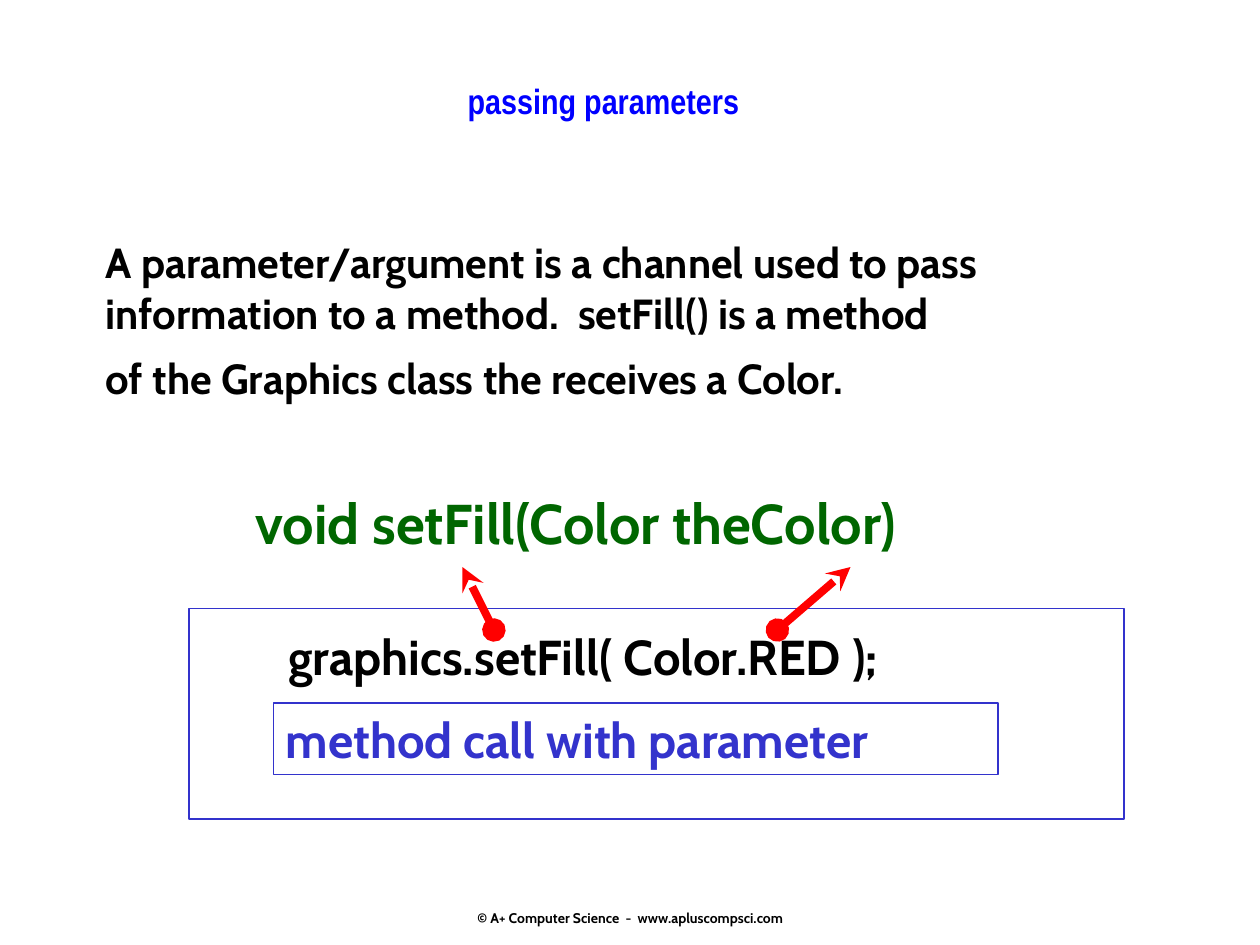
from lxml import etree
from pptx import Presentation
from pptx.dml.color import RGBColor
from pptx.enum.shapes import MSO_CONNECTOR, MSO_SHAPE
from pptx.enum.text import MSO_ANCHOR, PP_ALIGN
from pptx.oxml.ns import qn
from pptx.util import Inches, Pt

COLORS = {"title": "0000FF", "text": "000000", "signature": "006600",
          "frame": "3333CC", "arrow": "FF0000"}


class SlideBuilder:
    font = "Cabin"

    def __init__(self, page):
        self.page = page

    def color(self, name):
        return RGBColor.from_string(COLORS[name])

    def place(self, shape, left, top, width, height):
        shape.left, shape.top = Inches(left), Inches(top)
        shape.width, shape.height = Inches(width), Inches(height)

    def set_text(self, shape, paragraphs, size, color, font=None,
                 align=PP_ALIGN.LEFT, anchor=MSO_ANCHOR.TOP, gap=0):
        """Fill a shape; each paragraph is a list of lines."""
        frame = shape.text_frame
        frame.word_wrap = True
        frame.vertical_anchor = anchor
        for number, lines in enumerate(paragraphs):
            para = frame.add_paragraph() if number else frame.paragraphs[0]
            para.alignment = align
            para.space_before = Pt(gap if number else 0)
            for index, line in enumerate(lines):
                if index:
                    para.add_line_break()
                span = para.add_run()
                span.text = line
                span.font.name = font or self.font
                span.font.size = Pt(size)
                span.font.bold = True
                span.font.color.rgb = self.color(color)

    def title(self, text, *area):
        box = self.page.shapes.title
        self.place(box, *area)
        self.set_text(box, [[text]], 20, "title", "Arial Narrow", PP_ALIGN.CENTER)

    def text(self, paragraphs, area, size, color="text", **style):
        box = self.page.shapes.add_textbox(*map(Inches, area))
        self.set_text(box, paragraphs, size, color, **style)

    def outline(self, *area):
        box = self.page.shapes.add_shape(MSO_SHAPE.RECTANGLE, *map(Inches, area))
        box.shadow.inherit = False
        box.fill.background()
        box.line.color.rgb = self.color("frame")
        box.line.width = Pt(0.75)
        return box

    def arrow(self, *ends):
        arrow = self.page.shapes.add_connector(MSO_CONNECTOR.STRAIGHT, *map(Inches, ends))
        arrow.line.color.rgb = self.color("arrow")
        arrow.line.width = Pt(4.5)
        properties = arrow.element.spPr
        stroke = properties.find(qn("a:ln"))
        for tag, kind in (("a:headEnd", "oval"), ("a:tailEnd", "stealth")):
            etree.SubElement(stroke, qn(tag), type=kind)
        etree.SubElement(properties, qn("a:effectLst"))


def main():
    deck = Presentation()
    deck.slide_width, deck.slide_height = Inches(10), Inches(7.5)
    slide = SlideBuilder(deck.slides.add_slide(deck.slide_layouts[5]))

    slide.title("passing parameters", 1, 0.58, 7.58, 0.75)
    slide.outline(1.5, 4.83, 7.42, 1.67)
    slide.text([["A parameter/argument is a channel used to pass",
                 "information to a method.  setFill() is a method"],
                ["of the Graphics class the receives a Color."]],
               (0.74, 1.83, 8.31, 1.44), 24, gap=8.5)
    slide.text([["void setFill(Color theColor)"]],
               (1.93, 3.83, 6.21, 0.64), 32, "signature")
    slide.text([["graphics.setFill( Color.RED );"]], (2.19, 4.92, 5.95, 0.57), 28)

    caption = slide.outline(2.17, 5.58, 5.75, 0.57)
    slide.set_text(caption, [["method call with parameter"]], 28, "frame")
    slide.arrow(3.92, 5, 3.67, 4.5)
    slide.arrow(6.17, 5, 6.75, 4.5)

    slide.text([["© A+ Computer Science  -  www.apluscompsci.com"]],
               (3.42, 7.16, 3.17, 0.25), 8,
               align=PP_ALIGN.CENTER, anchor=MSO_ANCHOR.MIDDLE)
    deck.save("out.pptx")


if __name__ == "__main__":
    main()
